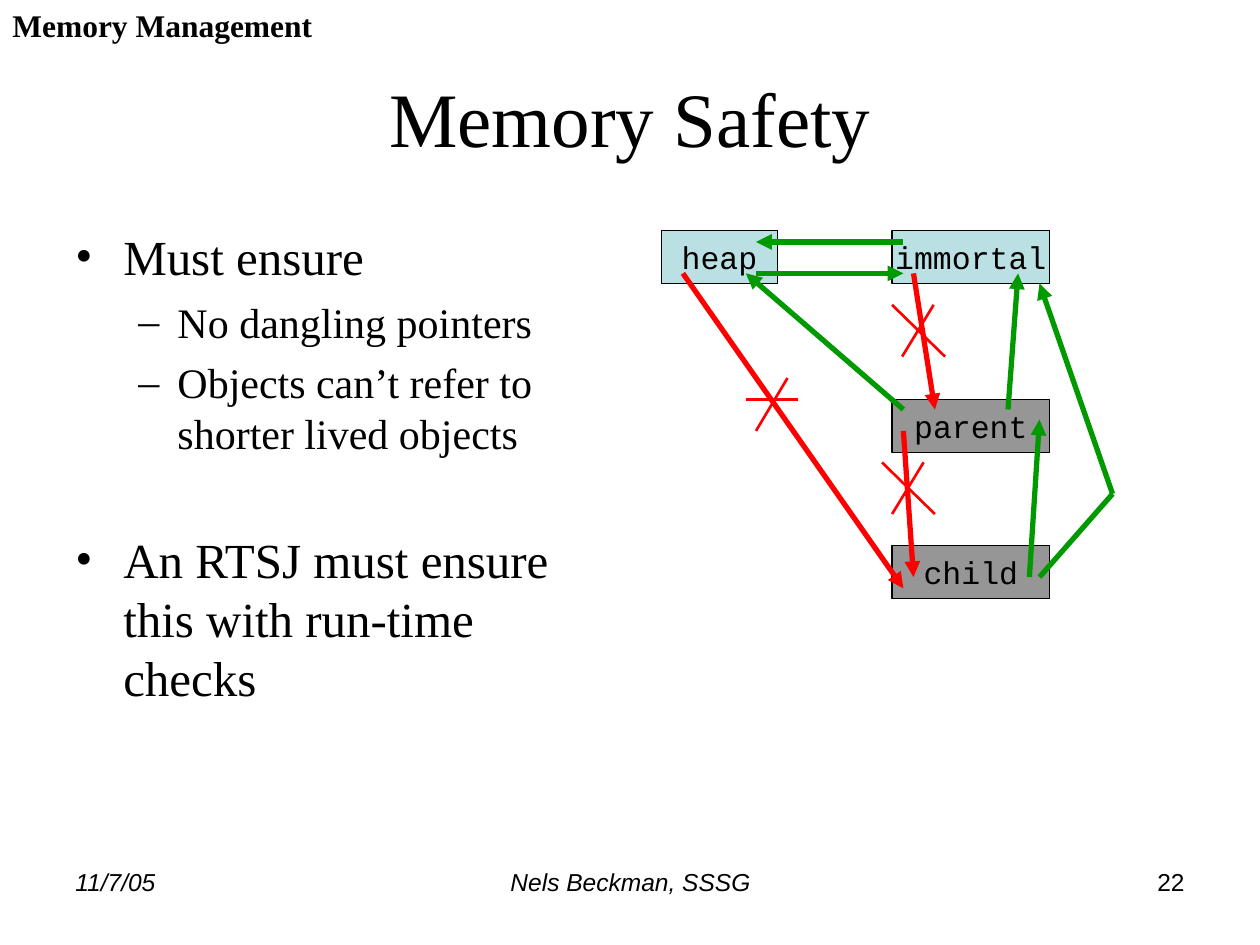
from pptx import Presentation
from pptx.dml.color import RGBColor
from pptx.enum.shapes import MSO_CONNECTOR, MSO_SHAPE
from pptx.enum.text import MSO_ANCHOR, PP_ALIGN
from pptx.oxml.ns import qn
from pptx.util import Cm, Pt
from lxml.etree import SubElement

BLACK, BLUE, GRAY = "000000", "BBE0E3", "969696"
GREEN, RED = "009900", "FF0000"
SERIF, SANS, MONO = "Times New Roman", "Arial", "Courier New"


def inches(value):
    return Cm(value * 2.54)


def color(hex_code):
    return RGBColor.from_string(hex_code)


def write(paragraph, text, size=18, font=SERIF, bold=False, italic=False,
          align=PP_ALIGN.LEFT, before=0):
    paragraph.alignment = align
    paragraph.space_before = Pt(before)
    run = paragraph.add_run()
    run.text = text
    run.font.size = Pt(size)
    run.font.name = font
    run.font.bold = bold
    run.font.italic = italic
    run.font.color.rgb = color(BLACK)


def add_text_frame(slide, left, top, width, height):
    box = slide.shapes.add_textbox(*map(inches, (left, top, width, height)))
    box.text_frame.word_wrap = True
    return box.text_frame


def add_label(slide, place, text, **text_format):
    write(add_text_frame(slide, *place).paragraphs[0], text, **text_format)


def set_bullet(paragraph, mark, margin, hanging):
    properties = paragraph._p.get_or_add_pPr()
    properties.set("marL", str(inches(margin)))
    properties.set("indent", str(-inches(hanging)))
    SubElement(properties, qn("a:buFont"), typeface=SERIF)
    SubElement(properties, qn("a:buChar"), char=mark)


def add_bullets(slide, place, points):
    frame = add_text_frame(slide, *place)
    for index, (level, text, before) in enumerate(points):
        paragraph = frame.add_paragraph() if index else frame.paragraphs[0]
        paragraph.level = level
        write(paragraph, text, size=(28, 24)[level], before=before)
        set_bullet(paragraph, "•–"[level], (0.38, 0.81)[level], (0.38, 0.31)[level])


def add_memory_area(slide, name, left, top, width, fill):
    area = slide.shapes.add_shape(
        MSO_SHAPE.RECTANGLE, *map(inches, (left, top, width, 0.42)))
    area.shadow.inherit = False
    area.fill.solid()
    area.fill.fore_color.rgb = color(fill)
    area.line.color.rgb = color(BLACK)
    area.line.width = Pt(0.75)
    area.text_frame.word_wrap = False
    area.text_frame.vertical_anchor = MSO_ANCHOR.MIDDLE
    write(area.text_frame.paragraphs[0], name, font=MONO, align=PP_ALIGN.CENTER)


def add_line(slide, start, end, hex_code, width=3, arrow=True):
    line = slide.shapes.add_connector(
        MSO_CONNECTOR.STRAIGHT, *map(inches, (*start, *end)))
    line.line.color.rgb = color(hex_code)
    line.line.width = Pt(width)
    if arrow:
        SubElement(line.line._get_or_add_ln(), qn("a:tailEnd"), type="triangle")
    SubElement(line._element.spPr, qn("a:effectLst"))


def add_cross(slide, *strokes):
    for start, end in strokes:
        add_line(slide, start, end, RED, width=1.5, arrow=False)


def main():
    presentation = Presentation()
    presentation.slide_width, presentation.slide_height = inches(10), inches(7.5)
    slide = presentation.slides.add_slide(presentation.slide_layouts[5])

    # Title
    title = slide.shapes.title
    title.left, title.top, title.width, title.height = map(inches, (0.5, 0.3, 9, 1.25))
    title.text_frame.vertical_anchor = MSO_ANCHOR.MIDDLE
    write(title.text_frame.paragraphs[0], "Memory Safety", size=44, align=PP_ALIGN.CENTER)

    # Safety rules; the wide gap sets off the last point
    add_bullets(slide, (0.5, 1.75, 4.42, 4.95), [
        (0, "Must ensure", 7),
        (1, "No dangling pointers", 6),
        (1, "Objects can’t refer to shorter lived objects", 6),
        (0, "An RTSJ must ensure this with run-time checks", 41),
    ])

    # Memory areas
    for name, left, top, width, fill in [
        ("heap", 5.25, 1.83, 0.92, BLUE),
        ("immortal", 7.08, 1.83, 1.25, BLUE),
        ("child", 7.08, 4.33, 1.25, GRAY),
        ("parent", 7.08, 3.17, 1.25, GRAY),
    ]:
        add_memory_area(slide, name, left, top, width, fill)

    # Allowed references
    bend = (8.83, 3.92)
    for start, end in [
        ((8.17, 4.58), (8.25, 3.33)),
        ((8, 3.25), (8.08, 2.17)),
        ((7.17, 1.92), (6, 1.92)),
        ((6, 2.17), (7.17, 2.17)),
        ((7.17, 3.25), (5.92, 2.17)),
        (bend, (8.25, 2.25)),
    ]:
        add_line(slide, start, end, GREEN)
    add_line(slide, bend, (8.25, 4.58), GREEN, arrow=False)

    # Forbidden references, each crossed out
    for start, end in [
        ((7.17, 3.42), (7.25, 4.58)),
        ((7.25, 2.17), (7.42, 3.25)),
        ((5.42, 2.17), (7.17, 4.67)),
    ]:
        add_line(slide, start, end, RED)
    for left, top in [(7, 3.67), (7.08, 2.42)]:
        bottom = top + 0.41
        add_cross(slide, ((left + 0.33, top), (left + 0.08, bottom)),
                  ((left, top), (left + 0.42, bottom)))
    add_cross(slide, ((6.25, 3), (6, 3.42)), ((5.92, 3.17), (6.33, 3.17)))

    # Section name and footer
    add_label(slide, (0, 0, 2.58, 0.7), "Memory Management", bold=True, before=11.2)
    add_label(slide, (3.42, 6.83, 3.17, 0.52), "Nels Beckman, SSSG",
              size=14, font=SANS, italic=True, align=PP_ALIGN.CENTER)
    add_label(slide, (7.17, 6.83, 2.33, 0.52), "22",
              size=14, font=SANS, align=PP_ALIGN.RIGHT)
    add_label(slide, (0.5, 6.83, 2.33, 0.52), "11/7/05",
              size=14, font=SANS, italic=True)

    presentation.save("out.pptx")


if __name__ == "__main__":
    main()
